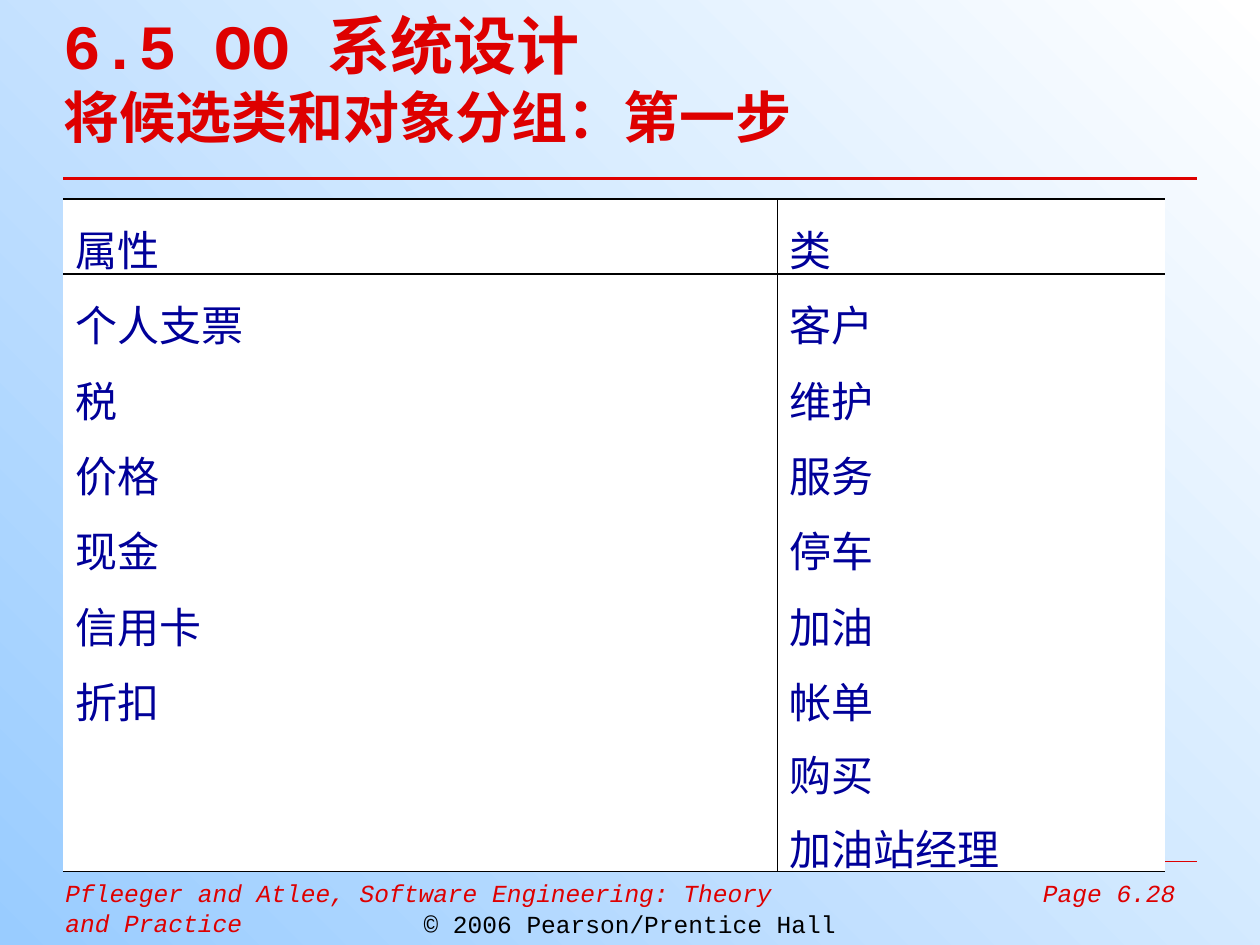
from lxml.etree import SubElement
from pptx import Presentation
from pptx.dml.color import RGBColor
from pptx.enum.shapes import MSO_CONNECTOR as Connector
from pptx.enum.text import MSO_ANCHOR as Anchor, MSO_AUTO_SIZE as AutoSize, PP_ALIGN as Align
from pptx.oxml.ns import qn
from pptx.util import Cm, Pt

RED, NAVY, BLACK, WHITE, SKY = "DE0000", "000099", "000000", "FFFFFF", "99CCFF"
TITLE_FORMAT = {"name": "Courier New", "bold": True, "color": RED}
CELL_FORMAT = {"name": "Courier New", "size": Pt(24), "color": NAVY}
FOOTER_FORMAT = {"name": "Courier New", "size": Pt(14), "italic": True, "color": RED}
COPYRIGHT_FORMAT = {**FOOTER_FORMAT, "italic": False, "color": BLACK}
ROWS = [
    ("属性", "类"),
    ("个人支票", "客户"),
    ("税", "维护"),
    ("价格", "服务"),
    ("现金", "停车"),
    ("信用卡", "加油"),
    ("折扣", "帐单\n购买\n加油站经理"),
]
COLUMN_WIDTHS = (14.4, 7.82)
LINE_HEIGHT = 1.48
SPACE_BEFORE = Pt(7)


def rgb(value):
    """Turn a hex string into a colour."""
    return RGBColor.from_string(value)


def set_values(target, values):
    """Set attributes from a dict; the color entry sets the text colour."""
    for name, value in values.items():
        if name == "color":
            target.color.rgb = rgb(value)
        else:
            setattr(target, name, value)


def add_background(slide):
    """Fill the slide from blue at bottom left to white at top right."""
    fill = slide.background.fill
    fill.gradient()
    fill.gradient_angle = 45
    for stop, color, position in zip(fill.gradient_stops, (SKY, WHITE), (0, 1)):
        stop.color.rgb = rgb(color)
        stop.position = position


def add_rule(slide, left, top, width, weight):
    """Draw a horizontal red rule."""
    line = slide.shapes.add_connector(
        Connector.STRAIGHT, Cm(left), Cm(top), Cm(left + width), Cm(top))
    line.line.color.rgb = rgb(RED)
    line.line.width = Pt(weight)
    SubElement(line.element.spPr, qn("a:effectLst"))


def add_note(slide, text, left, top, width, height, alignment, font_format):
    """Add a small wrapped text box."""
    box = slide.shapes.add_textbox(Cm(left), Cm(top), Cm(width), Cm(height))
    box.text_frame.word_wrap = True
    paragraph = box.text_frame.paragraphs[0]
    paragraph.text = text
    paragraph.alignment = alignment
    set_values(paragraph.runs[0].font, font_format)


def add_title(slide, left, top, width, height):
    """Place the two-line title and the rule below it."""
    title = slide.shapes.title
    set_values(title, {"left": Cm(left), "top": Cm(top),
                       "width": Cm(width), "height": Cm(height)})
    frame = title.text_frame
    set_values(frame, {"margin_left": 0, "margin_top": 0, "margin_right": 0,
                       "margin_bottom": 0, "word_wrap": True,
                       "auto_size": AutoSize.NONE, "vertical_anchor": Anchor.MIDDLE})
    paragraph = frame.paragraphs[0]
    paragraph.alignment = Align.LEFT
    for index, (text, size) in enumerate(
            [("6.5 OO 系统设计", 36), ("将候选类和对象分组：第一步", 32)]):
        if index:
            paragraph.add_line_break()
        run = paragraph.add_run()
        run.text = text
        set_values(run.font, {**TITLE_FORMAT, "size": Pt(size)})
    add_rule(slide, left, top + 3.6, 22.86, 1.5)


def add_footer(slide, left, top, width):
    """Place the rule, source, page number and copyright line."""
    add_rule(slide, left, top, width, 0.75)
    add_note(slide, "Pfleeger and Atlee, Software Engineering: Theory and Practice",
             left - 0.2, top + 0.22, 15.24, 0.86, Align.LEFT, FOOTER_FORMAT)
    add_note(slide, "Page 6.28", left + width - 4.24, top + 0.22, 4.06, 0.94,
             Align.RIGHT, FOOTER_FORMAT)
    add_note(slide, "© 2006 Pearson/Prentice Hall", 0, top + 0.85, 25.4, 0.86,
             Align.CENTER, COPYRIGHT_FORMAT)


def set_borders(cell, widths):
    """Set left, right, top and bottom borders; a zero width hides one."""
    properties = cell._tc.get_or_add_tcPr()
    for side, width in zip("LRTB", widths):
        line = SubElement(properties, qn(f"a:ln{side}"), w=str(Pt(width)))
        if width:
            fill = SubElement(line, qn("a:solidFill"))
            SubElement(fill, qn("a:srgbClr"), val=BLACK)
        else:
            SubElement(line, qn("a:noFill"))


def fill_cell(cell, text):
    """Write one paragraph per line on a white cell."""
    cell.fill.solid()
    cell.fill.fore_color.rgb = rgb(WHITE)
    cell.margin_top = Cm(0.13) + SPACE_BEFORE
    cell.text = text
    for index, paragraph in enumerate(cell.text_frame.paragraphs):
        if index:
            paragraph.space_before = SPACE_BEFORE
        set_values(paragraph.runs[0].font, CELL_FORMAT)


def add_class_table(slide, left, top):
    """Add the table of attributes and classes."""
    line_counts = [max(text.count("\n") + 1 for text in row) for row in ROWS]
    table = slide.shapes.add_table(
        len(ROWS), len(COLUMN_WIDTHS), Cm(left), Cm(top),
        Cm(sum(COLUMN_WIDTHS)), Cm(LINE_HEIGHT * sum(line_counts))).table
    set_values(table, {"first_row": False, "horz_banding": False})
    for column, width in zip(table.columns, COLUMN_WIDTHS):
        column.width = Cm(width)
    last = len(ROWS) - 1
    for row_index, (texts, count) in enumerate(zip(ROWS, line_counts)):
        table.rows[row_index].height = Cm(LINE_HEIGHT * count)
        above = 1.08 if row_index in (0, 1) else 0
        below = 1.08 if row_index in (0, last) else 0
        for column_index, text in enumerate(texts):
            cell = table.cell(row_index, column_index)
            sides = (0.45, 0) if column_index else (0, 0.45)
            set_borders(cell, (*sides, above, below))
            fill_cell(cell, text)


def main():
    """Build and save the slide."""
    presentation = Presentation()
    set_values(presentation, {"slide_width": Cm(25.4), "slide_height": Cm(19.05)})
    slide = presentation.slides.add_slide(presentation.slide_layouts[5])
    add_background(slide)
    add_footer(slide, 1.27, 17.36, 22.86)
    add_title(slide, 1.27, 0, 23.5, 3.15)
    add_class_table(slide, 1.27, 4.01)
    presentation.save("out.pptx")


if __name__ == "__main__":
    main()
